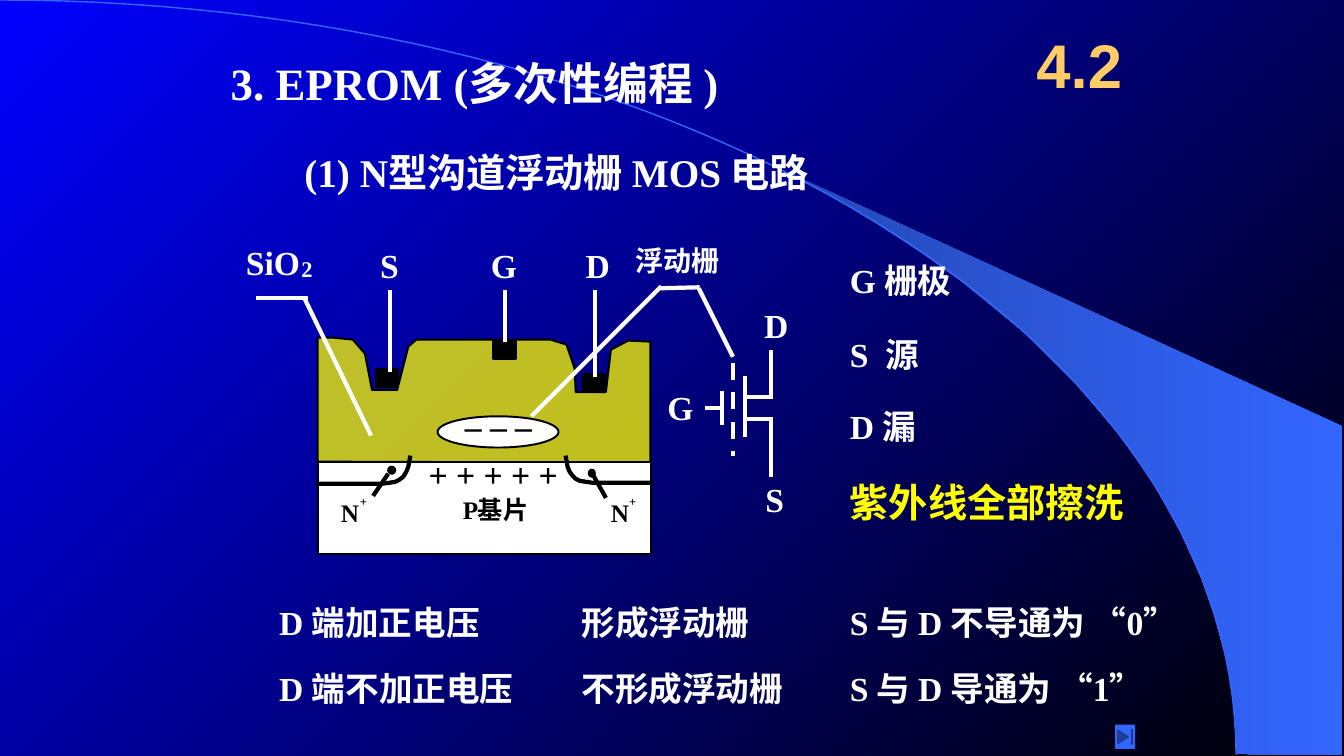
"""Builds the slide on the N-channel floating-gate MOS circuit of an EPROM."""
from math import cos, pi, sin

from lxml import etree
from pptx import Presentation
from pptx.dml.color import RGBColor
from pptx.enum.dml import MSO_LINE
from pptx.enum.shapes import MSO_CONNECTOR, MSO_SHAPE
from pptx.enum.text import MSO_ANCHOR, MSO_AUTO_SIZE, PP_ALIGN
from pptx.oxml.ns import qn
from pptx.util import Inches, Pt

COLORS = {name: RGBColor.from_string(value) for name, value in {
    "white": "FFFFFF", "black": "000000", "yellow": "FFFF00", "gold": "FFCC66",
    "blue": "0000FF", "sky": "3366FF", "deep": "2449B6"}.items()}
SERIF, HAN = "Times New Roman", "Noto Sans CJK SC"

deck = Presentation()
deck.slide_width, deck.slide_height = Inches(13.33), Inches(7.5)
page = deck.slides.add_slide(deck.slide_layouts[5])


def paint(shape, fill=None, line=None, width=1.38):
    """Sets fill and outline of a shape, with none where no colour is given."""
    shape.shadow.inherit = False
    for part, color in ((shape.fill, fill), (shape.line.fill, line)):
        if color:
            part.solid()
            part.fore_color.rgb = COLORS[color]
        else:
            part.background()
    if line:
        shape.line.width = Pt(width)
    return shape


def outline(points, close=False):
    """Draws a freeform through points given in inches."""
    corners = [(Inches(x), Inches(y)) for x, y in points]
    builder = page.shapes.build_freeform(*corners[0], scale=1.0)
    builder.add_line_segments(corners[1:], close=close)
    return builder.convert_to_shape()


backdrop = page.background.fill
backdrop.gradient()
backdrop.gradient_angle = 315
wing = paint(outline([
    (12.27, 7.48), (13.31, 7.49), (13.31, 4.23), (7.86, 1.73), (8.32, 1.99), (8.7, 2.22),
    (9.13, 2.5), (9.55, 2.8), (10.16, 3.3), (10.7, 3.84), (11.1, 4.31), (11.44, 4.79),
    (11.71, 5.28), (11.91, 5.72), (12.04, 6.09), (12.17, 6.56), (12.23, 6.96)], close=True))
wing.fill.gradient()
wing.fill.gradient_angle = 0
for gradient, ends in ((backdrop, ("blue", "black")), (wing.fill, ("deep", "sky"))):
    for stop, color in zip(gradient.gradient_stops, ends):
        stop.color.rgb = COLORS[color]

arc_angles = [pi / 2 * step / 60 for step in range(61)]
paint(outline([(12.26 * sin(a), 7.49 * (1 - cos(a))) for a in arc_angles]), line="sky", width=1)

oxide_points = [
    (3.15, 4.58), (3.15, 3.35), (3.3, 3.35), (3.5, 3.37), (3.62, 3.51), (3.69, 3.87),
    (3.94, 3.87), (4.05, 3.44), (4.13, 3.37), (5.46, 3.37), (5.62, 3.42), (5.7, 3.66),
    (5.71, 3.89), (6.01, 3.89), (6.06, 3.47), (6.23, 3.38), (6.45, 3.39), (6.45, 4.59)]
for edge in (None, "black"):
    oxide = paint(outline(oxide_points, close=True), "yellow", edge)
    tint = oxide.fill._xPr.find(qn("a:solidFill"))[0]
    etree.SubElement(tint, qn("a:alpha"), val="50000")

for kind, fill, left, top, width, height in (
        (MSO_SHAPE.OVAL, "white", 4.34, 4.13, 1.2, 0.31),
        (MSO_SHAPE.RECTANGLE, "white", 3.15, 4.58, 3.31, 0.92),
        (MSO_SHAPE.RECTANGLE, "black", 3.73, 3.66, 0.22, 0.18),
        (MSO_SHAPE.RECTANGLE, "black", 5.78, 3.71, 0.22, 0.18),
        (MSO_SHAPE.RECTANGLE, "black", 4.89, 3.38, 0.23, 0.18),
        (MSO_SHAPE.OVAL, "black", 3.85, 4.63, 0.07, 0.07),
        (MSO_SHAPE.OVAL, "black", 5.84, 4.66, 0.06, 0.07)):
    part = page.shapes.add_shape(kind, Inches(left), Inches(top), Inches(width), Inches(height))
    paint(part, fill, "black")

for junction in (
        [(4.07, 4.52), (4.05, 4.63), (4.03, 4.68), (4, 4.73), (3.96, 4.76), (3.92, 4.78),
         (3.86, 4.79), (3.78, 4.8), (3.13, 4.8)],
        [(5.61, 4.52), (5.63, 4.63), (5.65, 4.68), (5.68, 4.72), (5.71, 4.75), (5.75, 4.77),
         (5.81, 4.78), (5.88, 4.79), (6.48, 4.79)]):
    paint(outline(junction), line="black", width=3)

black_leads = [(3.85, 4.7, 3.7, 4.92), (5.87, 4.69, 6.01, 4.94)]
white_leads = [
    (6.55, 2.86, 6.94, 2.85), (2.54, 2.96, 3.05, 2.96), (3.02, 2.96, 3.68, 4.32),
    (3.87, 2.88, 3.87, 3.69), (5.01, 2.88, 5.01, 3.39), (5.9, 2.88, 5.9, 3.74),
    (6.93, 2.86, 7.27, 3.54), (6.56, 2.84, 5.27, 4.13), (6.99, 4.05, 7.14, 4.05),
    (7.16, 3.88, 7.16, 4.22), (7.39, 3.73, 7.39, 4.34), (7.39, 3.94, 7.67, 3.94),
    (7.65, 3.95, 7.65, 3.47), (7.39, 4.16, 7.67, 4.16), (7.65, 4.15, 7.65, 4.73)]
floating_gate = [(7.27, 3.6, 7.27, 4.52)]
for leads, color, dash in ((black_leads, "black", None), (white_leads, "white", None),
                           (floating_gate, "white", MSO_LINE.DASH)):
    for ends in leads:
        lead = page.shapes.add_connector(MSO_CONNECTOR.STRAIGHT, *map(Inches, ends))
        lead.line.color.rgb = COLORS[color]
        lead.line.width = Pt(3)
        lead.line.dash_style = dash
        etree.SubElement(lead._element.spPr, qn("a:effectLst"))

statements = [
    ("3. EPROM (多次性编程 )", 2.19, 0.5, 6.81, 0.63, 32, "white"),
    ("(1) N型沟道浮动栅 MOS 电路", 2.92, 1.42, 5.75, 0.57, 28, "white"),
    ("G 栅极", 8.33, 2.53, 2.67, 0.5, 24, "white"),
    ("S  源", 8.33, 3.26, 2.67, 0.5, 24, "white"),
    ("D 漏", 8.33, 3.98, 2.67, 0.5, 24, "white"),
    ("紫外线全部擦洗", 8.33, 4.7, 3.75, 0.57, 28, "yellow"),
    ("D 端加正电压", 2.67, 5.92, 3.17, 0.5, 24, "white"),
    ("形成浮动栅", 5.67, 5.92, 3.17, 0.5, 24, "white"),
    ("S 与 D 不导通为 “0”", 8.33, 5.92, 4.58, 0.5, 24, "white"),
    ("D 端不加正电压", 2.67, 6.58, 3.42, 0.5, 24, "white"),
    ("不形成浮动栅", 5.67, 6.58, 3.17, 0.5, 24, "white"),
    ("S 与 D 导通为 “1”", 8.33, 6.58, 3.33, 0.5, 24, "white")]
charges = [
    ("+ + + + +", 4.23, 4.45, 1.42, 0.5, 24, "black"),
    ("_ _ _", 4.59, 3.86, 0.93, 0.5, 24, "black")]
labels = [
    ("S", 3.77, 2.43, 0.19, 0.4, 24, "white"), ("G", 4.87, 2.43, 0.26, 0.4, 24, "white"),
    ("D", 5.81, 2.43, 0.24, 0.4, 24, "white"), ("N", 3.38, 4.93, 0.18, 0.3, 18, "black"),
    ("+", 3.57, 4.9, 0.07, 0.15, 9, "black"), ("N", 6.06, 4.93, 0.18, 0.3, 18, "black"),
    ("+", 6.24, 4.9, 0.07, 0.15, 9, "black"), ("P", 4.59, 4.9, 0.15, 0.3, 18, "black"),
    ("G", 6.62, 3.84, 0.26, 0.4, 24, "white"), ("D", 7.58, 3.03, 0.24, 0.4, 24, "white"),
    ("S", 7.59, 4.75, 0.19, 0.4, 24, "white"), ("SiO", 2.44, 2.4, 0.54, 0.4, 24, "white"),
    ("2", 2.99, 2.53, 0.11, 0.27, 16, "white")]
han_labels = [
    ("基片", 4.74, 4.9, 0.51, 0.3, 18, "black"), ("浮动栅", 6.3, 2.42, 0.85, 0.34, 20, "white")]
for group, font_name, side, edge, wrap in (
        (statements, SERIF, 0.1, 0.05, True), (charges, SERIF, 0.02, 0.05, True),
        (labels, SERIF, 0, 0, False), (han_labels, HAN, 0, 0, False)):
    for text, left, top, width, height, size, color in group:
        box = page.shapes.add_textbox(Inches(left), Inches(top), Inches(width), Inches(height))
        frame = box.text_frame
        frame.text = text
        frame.word_wrap = wrap
        frame.auto_size = MSO_AUTO_SIZE.SHAPE_TO_FIT_TEXT
        frame.margin_left = frame.margin_right = Inches(side)
        frame.margin_top = frame.margin_bottom = Inches(edge)
        span = frame.paragraphs[0].runs[0]
        span.font.name, span.font.size, span.font.bold = font_name, Pt(size), True
        span.font.color.rgb = COLORS[color]
        etree.SubElement(span.font._element, qn("a:ea"), typeface=HAN)

title = page.shapes.title
title.left, title.top, title.width, title.height = map(Inches, (10.08, 0.17, 1.25, 0.92))
title.text_frame.text = "4.2"
title.text_frame.vertical_anchor = MSO_ANCHOR.MIDDLE
heading = title.text_frame.paragraphs[0]
heading.alignment = PP_ALIGN.CENTER
number = heading.runs[0].font
number.name, number.size, number.bold = "Arial", Pt(44), True
number.color.rgb = COLORS["gold"]

paint(page.shapes.add_shape(MSO_SHAPE.ACTION_BUTTON_END, Inches(11.06), Inches(7.19),
                            Inches(0.2), Inches(0.24)), "sky")
deck.save("out.pptx")
